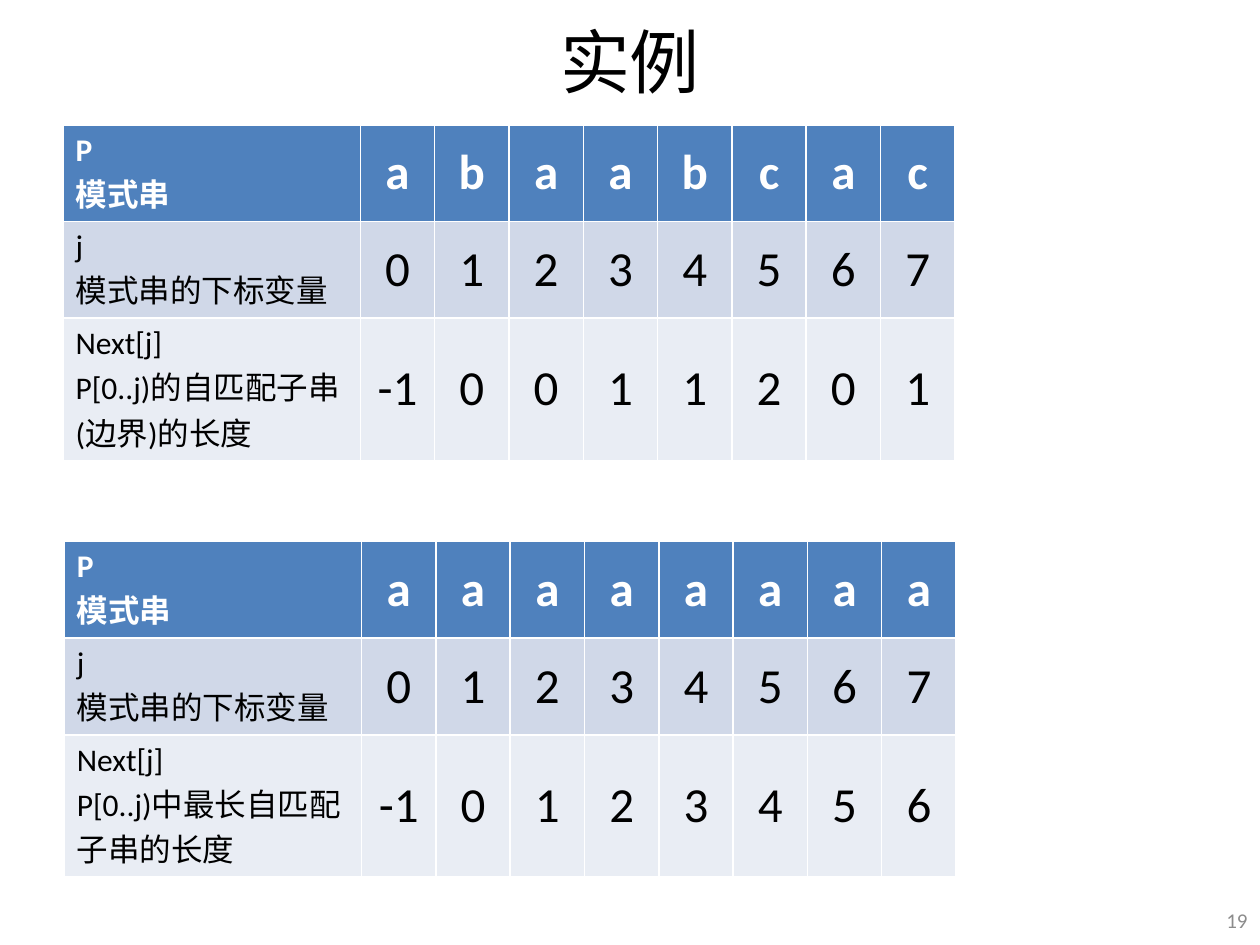
from dataclasses import dataclass

from pptx import Presentation
from pptx.dml.color import RGBColor
from pptx.enum.text import MSO_ANCHOR, PP_ALIGN
from pptx.util import Inches, Pt

MIDDLE, TOP = MSO_ANCHOR.MIDDLE, MSO_ANCHOR.TOP
LEFT, CENTER, RIGHT = PP_ALIGN.LEFT, PP_ALIGN.CENTER, PP_ALIGN.RIGHT
WIDTH, HEIGHT = Inches(10), Inches(7.5)
FONT = "Calibri"
UNIT = Inches(0.59)
LABEL_COLS = 4
ROW_HEIGHTS = (0.7, 0.7, 1.0)
FILLS = ("4F81BD", "D0D8E8", "E9EDF4")


@dataclass
class Grid:
    """One pattern with its border lengths; left and top are shares of the slide."""
    left: float
    top: float
    pattern: str
    note: str
    nexts: tuple[int, ...]

    def rows(self) -> list[list[str]]:
        return [
            ["P\n模式串", *self.pattern],
            ["j\n模式串的下标变量", *map(str, range(len(self.pattern)))],
            ["Next[j]\n" + self.note, *map(str, self.nexts)],
        ]


GRIDS = (
    Grid(0.05, 0.132, "abaabcac", "P[0..j)的自匹配子串(边界)的长度",
         (-1, 0, 0, 1, 1, 2, 0, 1)),
    Grid(0.051, 0.573, "aaaaaaaa", "P[0..j)中最长自匹配子串的长度",
         (-1, 0, 1, 2, 3, 4, 5, 6)),
)


def color(code: str) -> RGBColor:
    return RGBColor.from_string(code)


def write(frame, text: str, size: int, code: str, align, bold: bool = False) -> None:
    frame.text = text
    for para in frame.paragraphs:
        para.alignment = align
        font = para.font
        font.name, font.size, font.bold = FONT, Pt(size), bold
        font.color.rgb = color(code)


def draw_grid(slide, grid: Grid) -> None:
    rows = grid.rows()
    count = len(rows[0])
    table = slide.shapes.add_table(
        len(rows), count, int(grid.left * WIDTH), int(grid.top * HEIGHT),
        UNIT * (LABEL_COLS + count - 1), Inches(sum(ROW_HEIGHTS))).table
    for col, column in enumerate(table.columns):
        column.width = UNIT if col else UNIT * LABEL_COLS
    for r, texts in enumerate(rows):
        table.rows[r].height = Inches(ROW_HEIGHTS[r])
        for c, text in enumerate(texts):
            cell = table.cell(r, c)
            cell.fill.solid()
            cell.fill.fore_color.rgb = color(FILLS[r])
            cell.vertical_anchor = MIDDLE if c else TOP
            write(cell.text_frame, text, 28 if c else 18,
                  "000000" if r else "FFFFFF", CENTER if c else LEFT, r == 0)


def main() -> None:
    deck = Presentation()
    deck.slide_width, deck.slide_height = WIDTH, HEIGHT
    slide = deck.slides.add_slide(deck.slide_layouts[5])

    title = slide.shapes.title
    title.left, title.top = Inches(0.5), Inches(-0.03)
    title.width, title.height = Inches(9), Inches(1.02)
    title.text_frame.vertical_anchor = MIDDLE
    write(title.text_frame, "实例", 40, "000000", CENTER)

    for grid in GRIDS:
        draw_grid(slide, grid)

    number = slide.shapes.add_textbox(
        Inches(9.57), Inches(7.1), Inches(0.43), Inches(0.4)).text_frame
    number.word_wrap = True
    number.vertical_anchor = MIDDLE
    write(number, "19", 12, "8C8C8C", RIGHT)

    deck.save("out.pptx")


if __name__ == "__main__":
    main()
